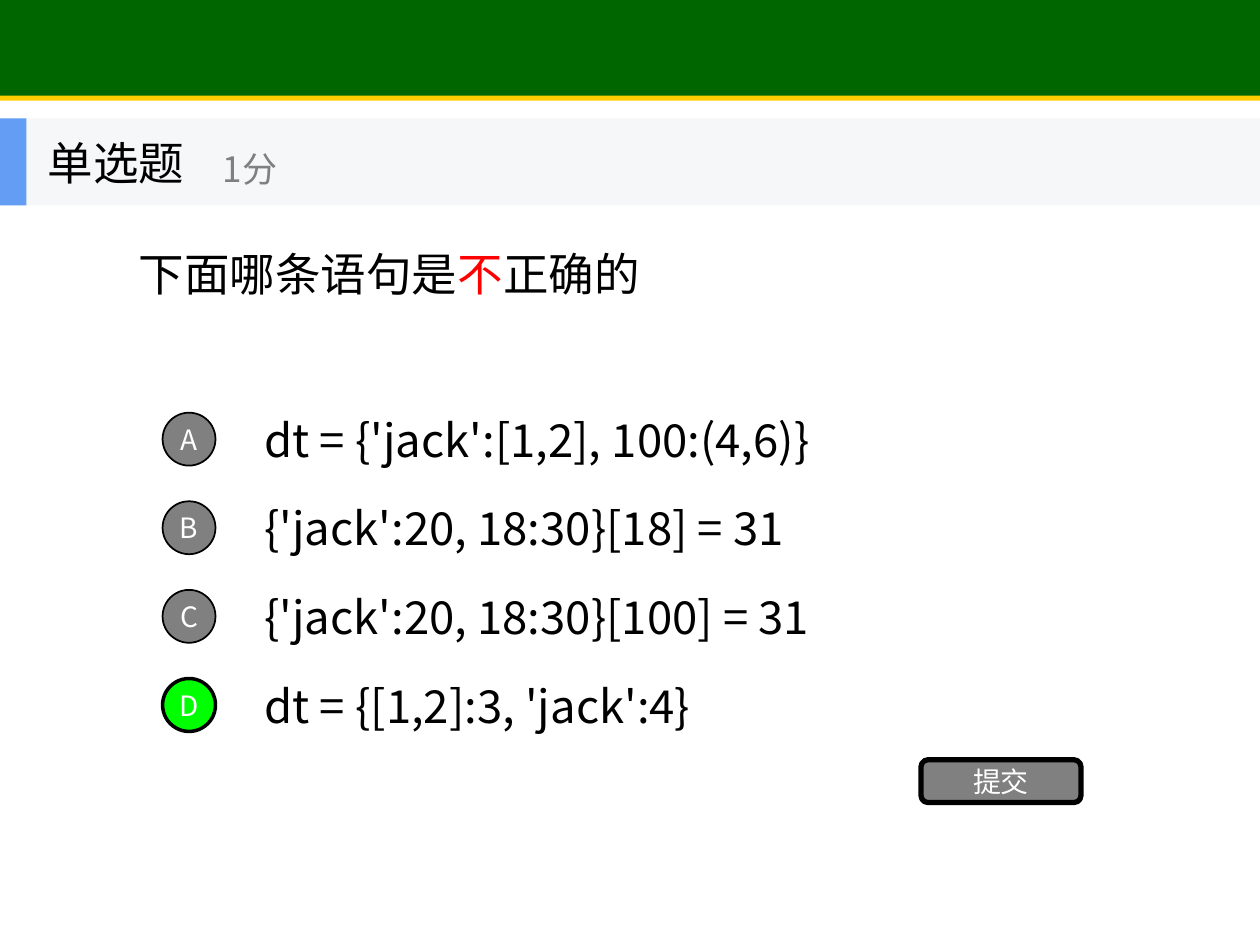
from lxml.etree import SubElement
from pptx import Presentation
from pptx.dml.color import RGBColor
from pptx.enum.shapes import MSO_SHAPE
from pptx.enum.text import MSO_ANCHOR, MSO_AUTO_SIZE, PP_ALIGN
from pptx.oxml.ns import qn
from pptx.util import Inches, Pt

# Content
HEAD, SCORE, SUBMIT = "单选题", "1分", "提交"
ASK = [("下面哪条语句是", "ink"), ("不", "alert"), ("正确的", "ink")]
OPTIONS = [
    ("A", "dt = {'jack':[1,2], 100:(4,6)}"),
    ("B", "{'jack':20, 18:30}[18] = 31"),
    ("C", "{'jack':20, 18:30}[100] = 31"),
    ("D", "dt = {[1,2]:3, 'jack':4}"),
]
ANSWER = "D"

# Theme
THEME = {
    "font": "Noto Sans CJK SC",
    "size": {"main": 26, "score": 20, "label": 16},
    "color": {"ink": "000000", "alert": "FF0000", "white": "FFFFFF",
              "grey": "808080", "right": "00FF00", "band": "006600",
              "rule": "FFCC00", "bar": "F6F7F8", "tab": "639EF4"},
}

# Grid, in inches
WIDE, HIGH = 10, 7.5
COL = WIDE / 10
TOP, ROW, TALL, DOT = 3.22, 0.7033, 0.53, 0.42
BAR_Y, BAR_H = 0.94, 0.69


def rgb(name):
    return RGBColor.from_string(THEME["color"][name])


def place(item, x, y, w, h):
    item.left, item.top, item.width, item.height = map(Inches, (x, y, w, h))


def write(item, text, size="main", color="ink", align=PP_ALIGN.LEFT, pad=0.1):
    """Fill an item with one paragraph; text is a string or (text, color) runs."""
    frame = item.text_frame
    frame.word_wrap = True
    frame.auto_size = MSO_AUTO_SIZE.NONE
    frame.vertical_anchor = MSO_ANCHOR.MIDDLE
    frame.margin_left = frame.margin_right = Inches(pad)
    frame.margin_top = frame.margin_bottom = Inches(pad / 2)
    para = frame.paragraphs[0]
    para.alignment = align
    for part, tint in [(text, color)] if isinstance(text, str) else text:
        run = para.add_run()
        run.text = part
        run.font.size = Pt(THEME["size"][size])
        run.font.color.rgb = rgb(tint)
        run.font.name = THEME["font"]
        SubElement(run.font._element, qn("a:ea"), typeface=THEME["font"])


def label(home, text, x, y, w, h, **style):
    write(home.add_textbox(*map(Inches, (x, y, w, h))), text, **style)


def block(home, kind, x, y, w, h, fill, line=0):
    item = home.add_shape(kind, *map(Inches, (x, y, w, h)))
    item.shadow.inherit = False
    item.fill.solid()
    item.fill.fore_color.rgb = rgb(fill)
    if line:
        item.line.color.rgb = rgb("ink")
        item.line.width = Pt(line)
    else:
        item.line.fill.background()
    return item


def button(home, kind, text, *box, **look):
    write(block(home, kind, *box, **look), text, size="label", color="white",
          align=PP_ALIGN.CENTER, pad=0)


def main():
    deck = Presentation()
    deck.slide_width, deck.slide_height = Inches(WIDE), Inches(HIGH)
    slide = deck.slides.add_slide(deck.slide_layouts[5])
    shapes = slide.shapes

    # Top band
    block(shapes, MSO_SHAPE.RECTANGLE, 0, 0, WIDE, 0.79, "band")
    block(shapes, MSO_SHAPE.RECTANGLE, 0, 0.76, WIDE, 0.04, "rule")

    # Question
    place(shapes.title, COL, 1.29, 8 * COL, 1.76)
    write(shapes.title, ASK)

    # Options with their badges
    for i, (key, text) in enumerate(OPTIONS):
        y = TOP + i * ROW
        label(shapes, text, 2 * COL, y, 7 * COL, TALL)
        hit = key == ANSWER
        button(shapes, MSO_SHAPE.OVAL, key,
               1.5 * COL - DOT / 2, y + (TALL - DOT) / 2, DOT, DOT,
               fill="right" if hit else "grey", line=2 if hit else 1)

    # Submit button
    button(shapes, MSO_SHAPE.ROUNDED_RECTANGLE, SUBMIT, 7.31, 6.03, 1.27, 0.34,
           fill="grey", line=3)

    # Question type bar
    bar = shapes.add_group_shape().shapes
    block(bar, MSO_SHAPE.RECTANGLE, 0, BAR_Y, WIDE, BAR_H, "bar")
    block(bar, MSO_SHAPE.RECTANGLE, 0, BAR_Y, 0.21, BAR_H, "tab")
    label(bar, HEAD, 0.28, BAR_Y, 2.08, BAR_H)
    label(bar, SCORE, 1.67, 1.06, 2.5, 0.56, size="score", color="grey")

    deck.save("out.pptx")


if __name__ == "__main__":
    main()
